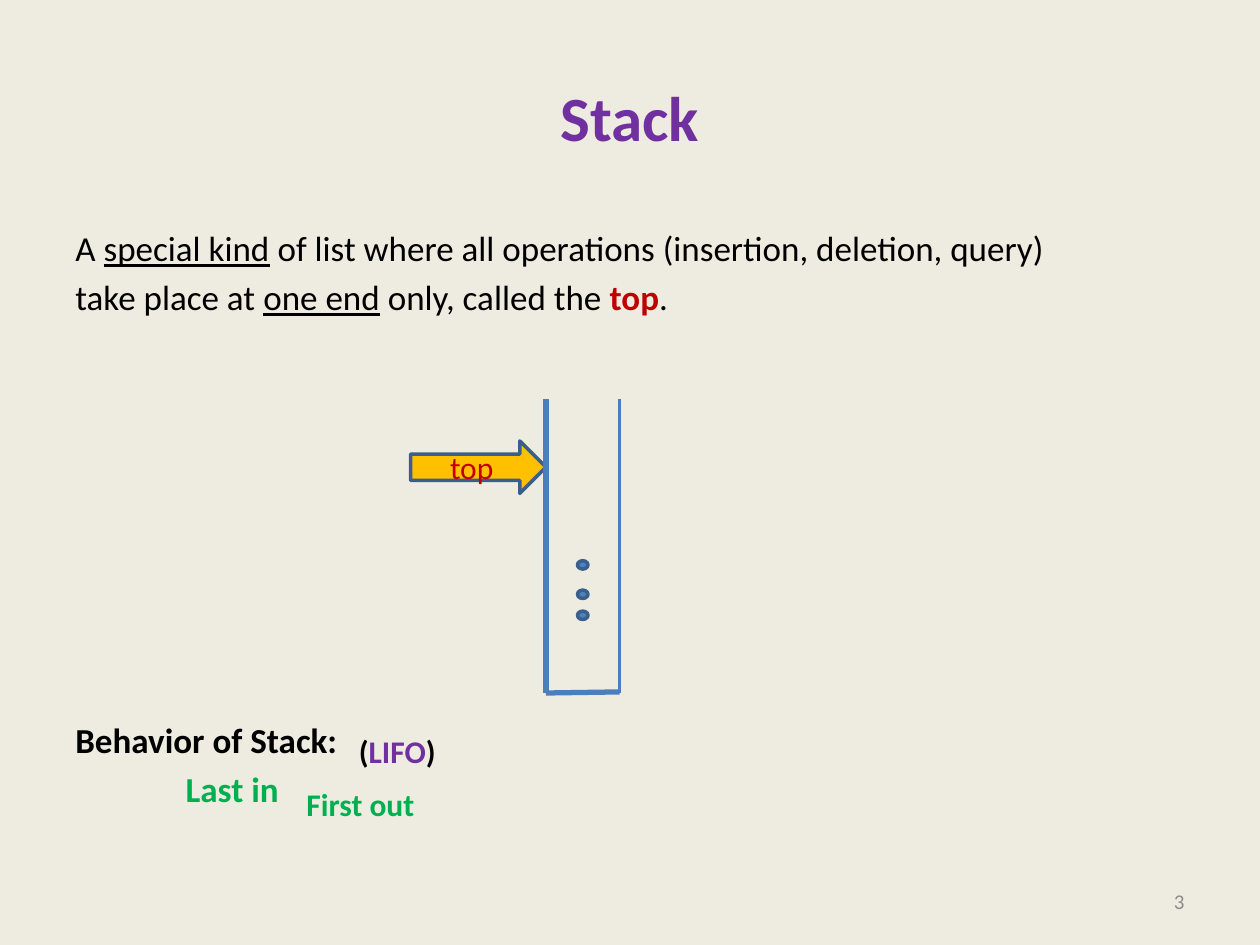
from pptx import Presentation, util as u
from pptx.dml.color import RGBColor
from pptx.enum import shapes, text
from pptx.oxml import parse_xml
from pptx.oxml.ns import nsdecls

UNIT = 1 / 12
BLACK, RED, GREEN, PURPLE = "000000", "C00000", "00B050", "7030A0"
BLUE, EDGE, RAIL = "4F81BD", "3A5F8C", "4B7EBC"
LEFT, MID, RIGHT = text.PP_ALIGN.LEFT, text.PP_ALIGN.CENTER, text.PP_ALIGN.RIGHT


def grid(n):
    """Turn grid units, twelve to the inch, into a length."""
    return u.Inches(n * UNIT)


def paint(font, color):
    """Give a font, fill or line part its hex colour."""
    font.rgb = RGBColor.from_string(color)


def para(frame, runs, size, color=BLACK, bold=None, align=LEFT, gap=0, indent=0):
    """Write runs of (words, style) as one paragraph of a frame."""
    first = not frame.paragraphs[0].runs
    p = frame.paragraphs[0] if first else frame.add_paragraph()
    p.alignment = align
    if indent:
        p._p.get_or_add_pPr().set("marL", str(grid(indent)))
    if gap and not first:
        p.space_before = u.Pt(gap)
    p.font.name, p.font.size, p.font.bold = "Calibri", u.Pt(size), bold
    paint(p.font.color, color)
    for words, style in runs:
        run = p.add_run()
        run.text = words
        font = run.font
        font.name, font.size = "Calibri", u.Pt(size)
        font.bold = style.get("bold", bold)
        font.underline = style.get("under")
        paint(font.color, style.get("color", color))


def frame(slide, box, wrap=True, anchor=text.MSO_ANCHOR.TOP):
    """Add a text box and return its frame."""
    tf = slide.shapes.add_textbox(*map(grid, box)).text_frame
    tf.word_wrap, tf.vertical_anchor = wrap, anchor
    return tf


def label(slide, box, runs, size, **style):
    """Add a centred-height single-line label."""
    tf = frame(slide, box, anchor=text.MSO_ANCHOR.MIDDLE)
    para(tf, runs, size, **style)


def shape(slide, kind, box, fill):
    """Add a filled and outlined preset shape."""
    item = slide.shapes.add_shape(kind, *map(grid, box))
    item.shadow.inherit = False
    item.fill.solid()
    paint(item.fill.fore_color, fill)
    paint(item.line.color, EDGE)
    item.line.width = u.Pt(2)
    return item


def rail(slide, start, end, width):
    """Draw one straight wall of the stack."""
    line = slide.shapes.add_connector(
        shapes.MSO_CONNECTOR.STRAIGHT, *map(grid, start + end))
    paint(line.line.color, RAIL)
    line.line.width = u.Pt(width)
    line._element.spPr.append(parse_xml(f"<a:effectLst {nsdecls('a')}/>"))


def intro(slide, box):
    """Write the definition of a stack."""
    tf = frame(slide, box)
    line = {"under": True}
    para(tf, [("A ", {}), ("special kind", line),
              (" of list where all operations (insertion, deletion, query)", {})], 20)
    para(tf, [("take place at ", {}), ("one end", line), (" only, called the ", {}),
              ("top", {"color": RED, "bold": True}), (".", {})], 20, gap=4)


def stack(slide, box):
    """Draw the open stack, its dots and the arrow to its top."""
    x, y, w, h = box
    for row in (15.4, 18.2, 20.2):
        shape(slide, shapes.MSO_SHAPE.OVAL, (x + 3, y + row, 1, 0.8), BLUE)
    span = 12.9
    arrow = shape(slide, shapes.MSO_SHAPE.RIGHT_ARROW, (x - span, y + 4, span, 5), "FFC000")
    tf = arrow.text_frame
    tf.vertical_anchor = text.MSO_ANCHOR.MIDDLE
    para(tf, [("top", {})], 18, RED, align=MID)
    rail(slide, (x, y), (x, y + h), 3)
    rail(slide, (x + w, y), (x + w, y + h), 2.25)
    rail(slide, (x, y + h), (x + w, y + h - 0.1), 3)


def rule(slide, box):
    """Write the last in, first out behaviour."""
    x, y, w, h = box
    tf = frame(slide, box)
    para(tf, [("Behavior of Stack:", {})], 20, bold=True)
    para(tf, [("Last in", {})], 20, GREEN, True, gap=4, indent=10.5)
    out = frame(slide, (x + 22, y + 6.4, 12.9, 4.8), wrap=False)
    para(out, [("First out", {})], 18, GREEN, True)
    name = frame(slide, (x + 27, y + 1.3, 9.8, 4.8), wrap=False)
    para(name, [("(", {}), ("LIFO", {"color": PURPLE}), (")", {})], 18, bold=True)


def main():
    """Build and save the slide."""
    deck = Presentation()
    deck.slide_width, deck.slide_height = grid(120), grid(90)
    slide = deck.slides.add_slide(deck.slide_layouts[6])
    back = slide.background.fill
    back.solid()
    paint(back.fore_color, "EEECE1")
    label(slide, (6, 3.6, 108, 15), [("Stack", {})], 36,
          color=PURPLE, bold=True, align=MID)
    intro(slide, (6, 21, 108, 12))
    stack(slide, (52, 38, 7, 28))
    rule(slide, (6, 67.8, 108, 12))
    label(slide, (86, 83.4, 28, 4.8), [("3", {})], 12, color="8C8C8C", align=RIGHT)
    deck.save("out.pptx")


if __name__ == "__main__":
    main()
